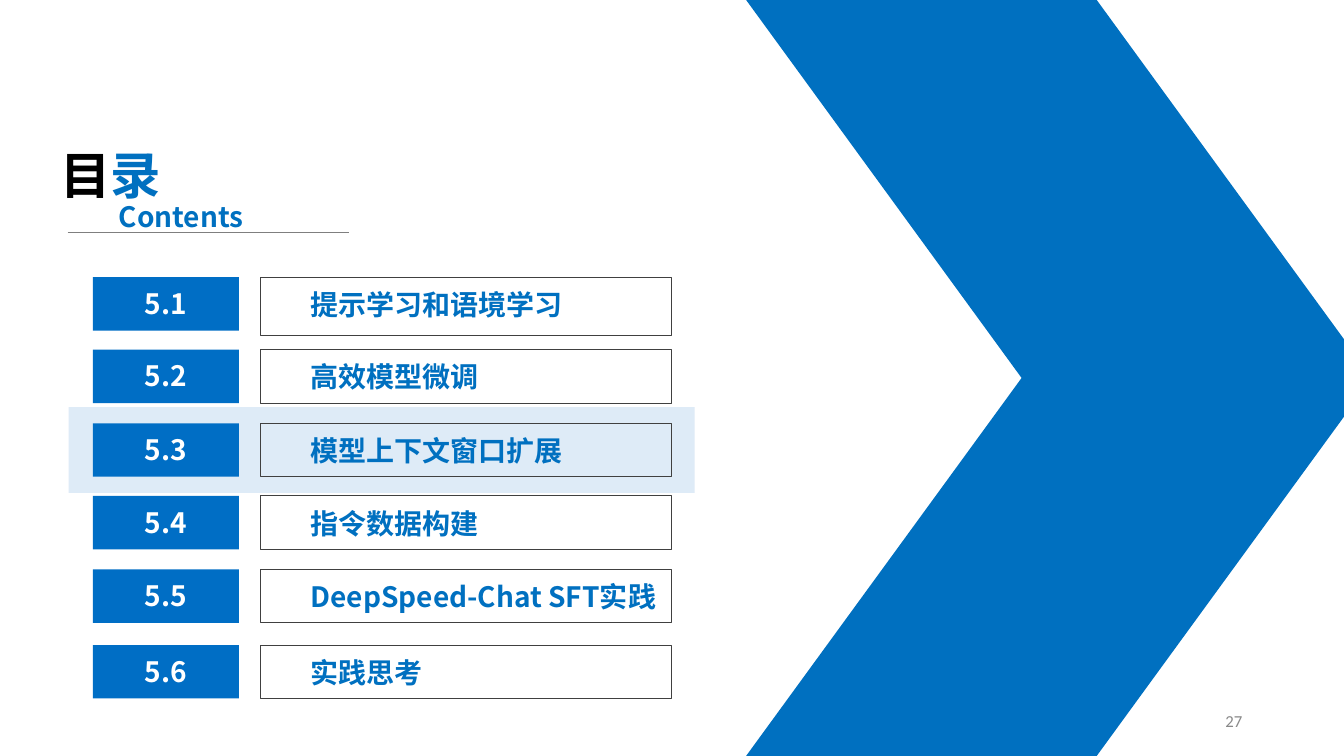
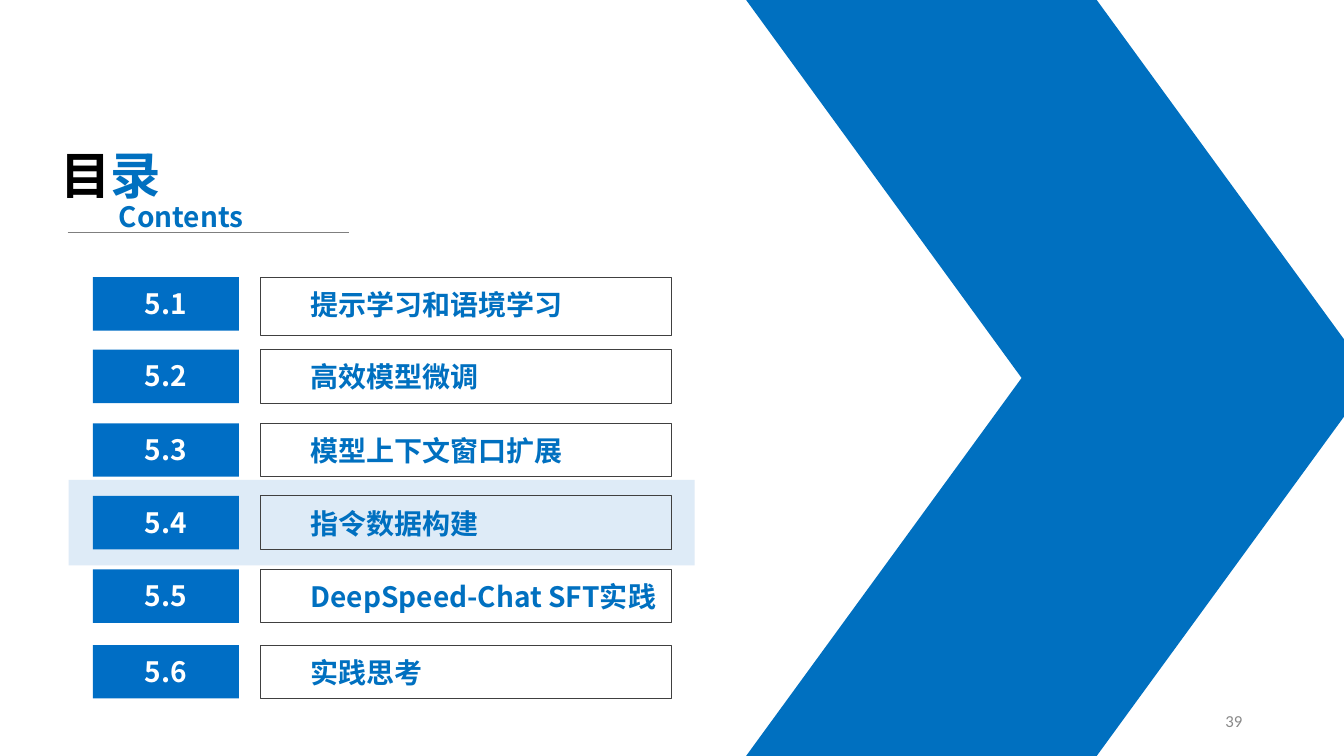
import pptx
import pptx.util
import pptx.dml.color
import pptx.enum.shapes
import pptx.enum.text
import pptx.oxml.ns
import lxml.etree

Inches = pptx.util.Inches
Pt = pptx.util.Pt
SHAPE = pptx.enum.shapes.MSO_SHAPE
ALIGN = pptx.enum.text.PP_ALIGN
ANCHOR = pptx.enum.text.MSO_ANCHOR
qn = pptx.oxml.ns.qn

CJK = "Noto Sans CJK SC"
BLUE, BADGE, PALE = "0070C0", "006EC5", "DEEBF7"
BLACK, WHITE, FRAME, RULE, GREY = "000000", "FFFFFF", "404040", "7F7F7F", "898989"

HEADING = {"size": Pt(36), "bold": True, "name": CJK}
ENTRY = {"size": Pt(20), "bold": True, "name": CJK}
NUMBER = {"size": Pt(12), "bold": False, "name": "Calibri"}

ROW_HEIGHT = 0.53
BAND_MARGIN = 0.16
SECTIONS = [
    ("5.1", "提示学习和语境学习", 2.75, 0.58),
    ("5.2", "高效模型微调", 3.47, ROW_HEIGHT),
    ("5.3", "模型上下文窗口扩展", 4.2, ROW_HEIGHT),
    ("5.4", "指令数据构建", 4.92, ROW_HEIGHT),
    ("5.5", "DeepSpeed-Chat SFT实践", 5.65, ROW_HEIGHT),
    ("5.6", "实践思考", 6.4, ROW_HEIGHT),
]
SLIDES = [("5.3", "27"), ("5.4", "39")]


def rgb(value):
    return pptx.dml.color.RGBColor.from_string(value)


def box(at):
    return [Inches(v) for v in at]


def add_run(p, text, style, color):
    r = p.add_run()
    r.text = text
    for name, value in style.items():
        setattr(r.font, name, value)
    r.font.color.rgb = rgb(color)
    ea = lxml.etree.SubElement(r.font._element, qn("a:ea"))
    ea.set("typeface", style["name"])


def write(sp, runs, style, align=ALIGN.LEFT, **frame):
    tf = sp.text_frame
    settings = {"word_wrap": True, "vertical_anchor": ANCHOR.TOP, **frame}
    for name, value in settings.items():
        setattr(tf, name, value)
    p = tf.paragraphs[0]
    p.alignment = align
    for text, color in runs:
        add_run(p, text, style, color)


def add_shape(slide, kind, at, fill=None, line=None):
    sp = slide.shapes.add_shape(kind, *box(at))
    sp.shadow.inherit = False
    if fill:
        sp.fill.solid()
        sp.fill.fore_color.rgb = rgb(fill)
    else:
        sp.fill.background()
    if line:
        sp.line.color.rgb = rgb(line)
        sp.line.width = Pt(0.75)
    else:
        sp.line.fill.background()
    return sp


def add_text(slide, at, runs, style, **options):
    write(slide.shapes.add_textbox(*box(at)), runs, style, **options)


def add_rule(slide, left, right, y):
    line = slide.shapes.add_connector(
        pptx.enum.shapes.MSO_CONNECTOR.STRAIGHT, *box([left, y, right, y]))
    line.line.color.rgb = rgb(RULE)
    line.line.width = Pt(0.5)
    lxml.etree.SubElement(line._element.spPr, qn("a:effectLst"))


def add_heading(slide):
    title = slide.shapes.title
    title.left, title.top, title.width, title.height = box([0.5, 1.38, 1.57, 0.71])
    write(title, [("目", BLACK), ("录", BLUE)], HEADING)
    add_rule(slide, 0.67, 3.46, 2.31)
    add_text(slide, [1.08, 1.93, 1.57, 0.44], [("Contents", BLUE)], ENTRY)


def add_section(slide, number, name, top, height):
    badge = add_shape(slide, SHAPE.RECTANGLE, [0.92, top, 1.45, ROW_HEIGHT], fill=BADGE)
    write(badge, [(number, WHITE)], ENTRY, align=ALIGN.CENTER, margin_top=Inches(0.09))
    frame = add_shape(slide, SHAPE.RECTANGLE, [2.58, top, 4.08, height], line=FRAME)
    write(frame, [(name, BLUE)], ENTRY, margin_top=Inches(0.1),
          margin_left=Inches(0.5), margin_right=0)


def add_contents_slide(prs, current, page):
    slide = prs.slides.add_slide(prs.slide_layouts.get_by_name("Title Only"))
    chevron = add_shape(slide, SHAPE.CHEVRON, [7.4, 0, 6.21, 7.5], fill=BLUE)
    chevron.adjustments[0] = 0.44
    add_heading(slide)
    for number, name, top, height in SECTIONS:
        if number == current:
            band = [0.68, top - BAND_MARGIN, 6.21, ROW_HEIGHT + 2 * BAND_MARGIN]
            add_shape(slide, SHAPE.RECTANGLE, band, fill=PALE)
        add_section(slide, number, name, top, height)
    add_text(slide, [9.42, 6.95, 3, 0.4], [(page, GREY)], NUMBER,
             align=ALIGN.RIGHT, vertical_anchor=ANCHOR.MIDDLE)


def main():
    prs = pptx.Presentation()
    prs.slide_width, prs.slide_height = Inches(13.33), Inches(7.5)
    for current, page in SLIDES:
        add_contents_slide(prs, current, page)
    prs.save("out.pptx")


if __name__ == "__main__":
    main()
